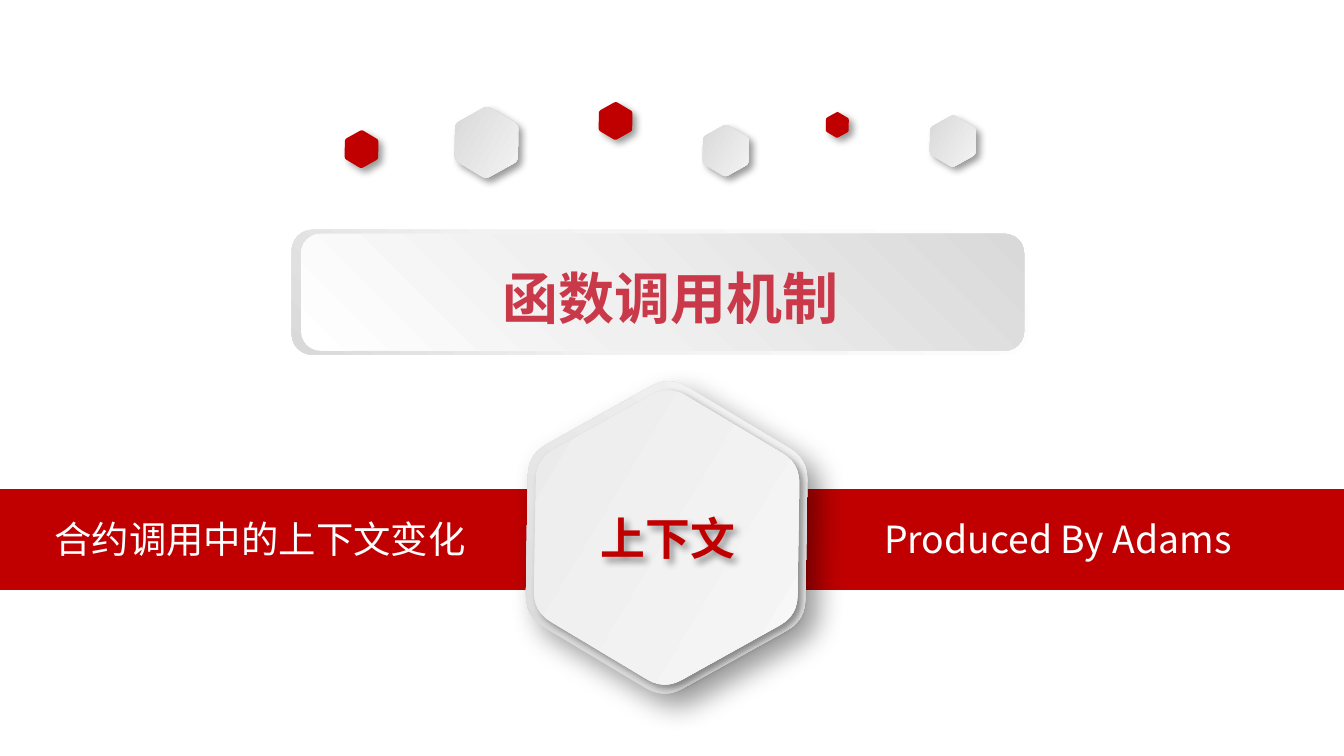
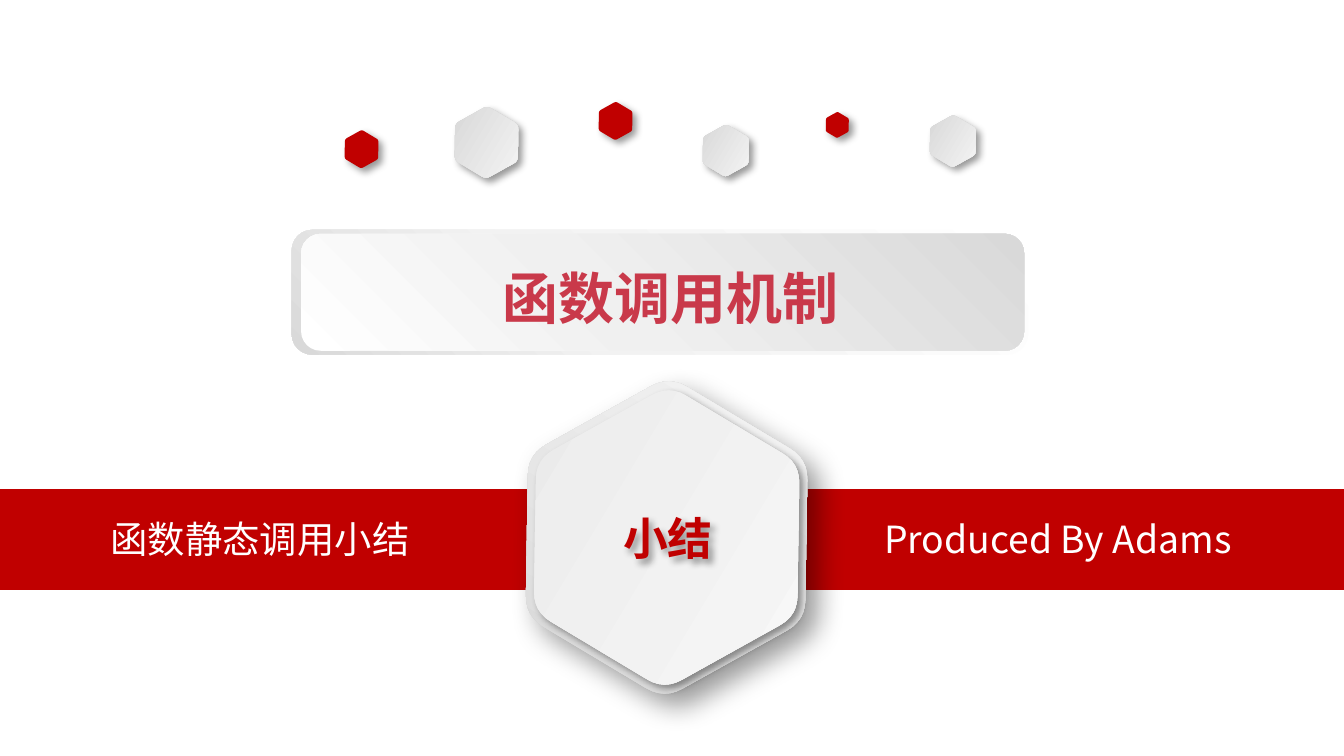
import math

from lxml import etree
from pptx import Presentation
from pptx.dml.color import RGBColor
from pptx.enum import shapes, text
from pptx.oxml import ns
from pptx.util import Inches, Pt

FONT = "Noto Sans CJK SC"
RED = RGBColor(0xC0, 0x00, 0x00)
ROSE = RGBColor(0xC9, 0x39, 0x4A)
WHITE = RGBColor(0xFF, 0xFF, 0xFF)
MIST = RGBColor(0xF9, 0xF9, 0xF9)
PEARL = RGBColor(0xF2, 0xF2, 0xF2)
SMOKE = RGBColor(0xF0, 0xF0, 0xF0)
FOG = RGBColor(0xE9, 0xE9, 0xE9)
SILVER = RGBColor(0xD9, 0xD9, 0xD9)
STEEL = RGBColor(0xD3, 0xD3, 0xD3)

# Gradients are (clockwise angle, stops); shadows are (blur, distance) in points.
GREY_SHEEN = (0, [(0, STEEL), (100, MIST)])
BADGE_RIM = (270, [(0, STEEL), (100, MIST)])
BADGE_FACE = (0, [(0, FOG), (100, MIST)])
BANNER_RIM = (135, [(0, WHITE), (0, WHITE), (62, PEARL), (100, SILVER)])
BANNER_FACE = (315, [(0, WHITE), (0, WHITE), (42, SMOKE), (100, SILVER)])
SOFT_SHADOW = (4, 3)
DEEP_SHADOW = (15, 9)

TILT = 30.9
CORNER_CUT = 0.13
CORNER_STEPS = 6

# Centre x, centre y, height, fill
ORNAMENTS = [
    (3.62, 1.06, 0.47, GREY_SHEEN),
    (4.58, 0.9, 0.25, RED),
    (2.69, 1.11, 0.25, RED),
    (5.4, 1.12, 0.34, GREY_SHEEN),
    (6.23, 0.93, 0.17, RED),
    (7.09, 1.05, 0.34, GREY_SHEEN),
]

TOPICS = [
    ("合约调用中的上下文变化", "上下文"),
    ("函数静态调用小结", "小结"),
]


def inches(*lengths):
    return [Inches(length) for length in lengths]


def add_color(parent, color, alpha=None):
    node = etree.SubElement(parent, ns.qn("a:srgbClr"), val=str(color))
    if alpha is not None:
        etree.SubElement(node, ns.qn("a:alpha"), val=str(alpha * 1000))


def paint(shape, fill=None, shadow=None):
    """Set a solid, gradient or empty fill, no outline, and an optional shadow."""
    properties = shape._element.spPr
    if fill is None:
        shape.fill.background()
    elif isinstance(fill, RGBColor):
        shape.fill.solid()
        shape.fill.fore_color.rgb = fill
    else:
        angle, stops = fill
        shape.fill.gradient()
        shape.fill.gradient_angle = (360 - angle) % 360
        stop_list = properties.find(".//" + ns.qn("a:gsLst"))
        for stop in list(stop_list):
            stop_list.remove(stop)
        for position, color in stops:
            stop = etree.SubElement(stop_list, ns.qn("a:gs"), pos=str(position * 1000))
            add_color(stop, color)
    shape.line.fill.background()
    shape.shadow.inherit = False
    if shadow:
        blur, distance = shadow
        effects = properties.find(ns.qn("a:effectLst"))
        outer = etree.SubElement(
            effects, ns.qn("a:outerShdw"), blurRad=str(Pt(blur)),
            dist=str(Pt(distance)), dir=str(45 * 60000), algn="tl", rotWithShape="0")
        add_color(outer, RGBColor(0, 0, 0), alpha=40)


def write(frame, words, size, color, bold=False, align=text.PP_ALIGN.CENTER,
          anchor=text.MSO_ANCHOR.TOP):
    frame.word_wrap = True
    frame.vertical_anchor = anchor
    paragraph = frame.paragraphs[0]
    paragraph.alignment = align
    run = paragraph.add_run()
    run.text = words
    font = run.font
    font.name, font.size, font.bold = FONT, Pt(size), bold
    font.color.rgb = color
    etree.SubElement(run._r.get_or_add_rPr(), ns.qn("a:ea"), typeface=FONT)


def hexagon_points(cx, cy, height):
    """Points of a flat-topped hexagon whose corners are quadratic curves."""
    side = height / math.sqrt(3)
    corners = [(cx + side * math.cos(math.radians(60 * i)),
                cy + side * math.sin(math.radians(60 * i))) for i in range(6)]
    points = []
    for i, corner in enumerate(corners):
        start, end = [
            [c + CORNER_CUT * (n - c) for c, n in zip(corner, neighbour)]
            for neighbour in (corners[i - 1], corners[(i + 1) % 6])]
        for step in range(CORNER_STEPS + 1):
            t = step / CORNER_STEPS
            points.append(inches(*[
                (1 - t) ** 2 * a + 2 * t * (1 - t) * b + t ** 2 * c
                for a, b, c in zip(start, corner, end)]))
    return points


def add_hexagon(parent, cx, cy, height, fill, shadow):
    first, *rest = hexagon_points(cx, cy, height)
    builder = parent.build_freeform(*first)
    builder.add_line_segments(rest, close=True)
    hexagon = builder.convert_to_shape()
    hexagon.rotation = TILT
    paint(hexagon, fill, shadow)


def add_ribbon(slide, left, top, width, height, topic):
    ribbon = slide.shapes.add_shape(
        shapes.MSO_SHAPE.RECTANGLE, *inches(left, top, width, height))
    paint(ribbon, RED)
    for dx, caption_width, words, align in (
            (0.17, 3.53, topic, text.PP_ALIGN.CENTER),
            (6.48, 3.5, "Produced By Adams", text.PP_ALIGN.LEFT)):
        caption = slide.shapes.add_textbox(
            *inches(left + dx, top + 0.15, caption_width, 0.44))
        caption.text_frame.auto_size = text.MSO_AUTO_SIZE.SHAPE_TO_FIT_TEXT
        write(caption.text_frame, words, 20, WHITE, align=align)


def add_ornaments(slide):
    for cx, cy, height, fill in ORNAMENTS:
        add_hexagon(slide.shapes, cx, cy, height, fill, SOFT_SHADOW)


def add_badge(slide, cx, cy):
    badge = slide.shapes.add_group_shape().shapes
    add_hexagon(badge, cx, cy, 2.08, BADGE_RIM, DEEP_SHADOW)
    add_hexagon(badge, cx, cy, 1.96, BADGE_FACE, SOFT_SHADOW)


def add_badge_label(slide, cx, cy, words):
    width, height = 1.97, 0.5
    label = slide.shapes.add_shape(
        shapes.MSO_SHAPE.ROUNDED_RECTANGLE,
        *inches(cx - width / 2, cy - height / 2, width, height))
    paint(label, shadow=SOFT_SHADOW)
    write(label.text_frame, words, 24, RED, bold=True, anchor=text.MSO_ANCHOR.MIDDLE)


def add_banner(slide, left, top, width, height):
    """Draw the two-layer plate and bring the slide title in front of it."""
    banner = slide.shapes.add_group_shape().shapes
    for dx, dy, w, h, fill in (
            (0, 0, width, height, BANNER_RIM),
            (0.07, 0.03, width - 0.1, height - 0.06, BANNER_FACE)):
        plate = banner.add_shape(
            shapes.MSO_SHAPE.ROUNDED_RECTANGLE, *inches(left + dx, top + dy, w, h))
        paint(plate, fill)
    title = slide.shapes.title
    title.left, title.top, title.width, title.height = inches(
        left + 0.08, top + 0.2, width, 0.6)
    title.text_frame.auto_size = text.MSO_AUTO_SIZE.SHAPE_TO_FIT_TEXT
    write(title.text_frame, "函数调用机制", 30, ROSE, bold=True)
    slide.shapes._spTree.append(title._element)


def add_section_slide(deck, topic, badge_words):
    slide = deck.slides.add_slide(deck.slide_layouts[5])
    add_ribbon(slide, 0, 3.64, 10, 0.75, topic)
    add_ornaments(slide)
    add_badge(slide, 4.96, 4)
    add_banner(slide, 2.17, 1.71, 5.48, 0.93)
    add_badge_label(slide, 4.97, 4, badge_words)


def main():
    deck = Presentation()
    deck.slide_width = Inches(10)
    deck.slide_height = deck.slide_width * 9 // 16
    for topic, badge_words in TOPICS:
        add_section_slide(deck, topic, badge_words)
    deck.save("out.pptx")


if __name__ == "__main__":
    main()
